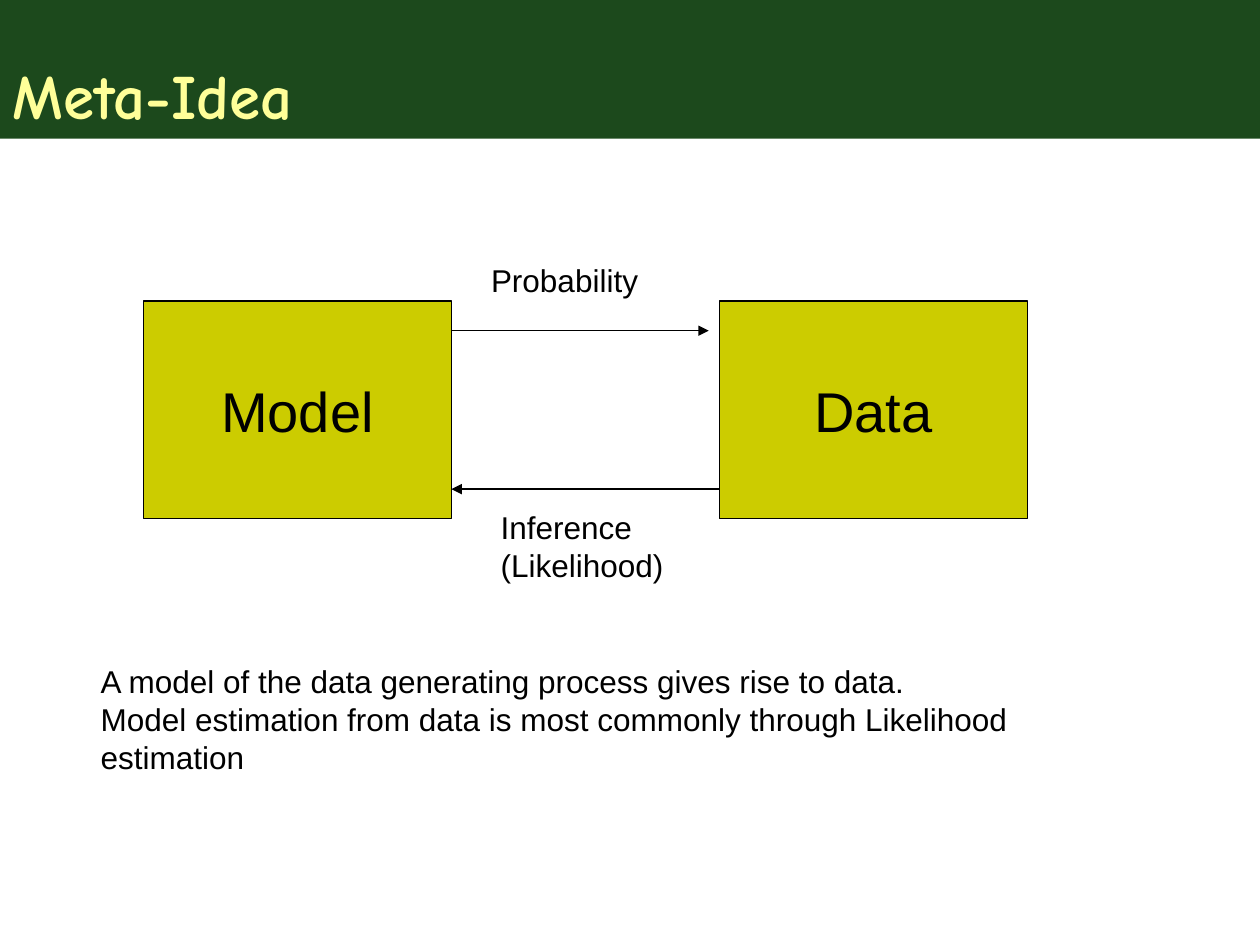
"""Build the Meta-Idea slide linking model and data."""
from lxml import etree
from pptx import Presentation
from pptx.dml.color import RGBColor
from pptx.enum.shapes import MSO_CONNECTOR, MSO_SHAPE
from pptx.enum.text import MSO_ANCHOR, MSO_AUTO_SIZE, PP_ALIGN
from pptx.oxml.ns import qn
from pptx.util import Pt

RECTANGLE = MSO_SHAPE.RECTANGLE
STRAIGHT = MSO_CONNECTOR.STRAIGHT
LEFT, CENTER = PP_ALIGN.LEFT, PP_ALIGN.CENTER
TOP, MIDDLE, BOTTOM = MSO_ANCHOR.TOP, MSO_ANCHOR.MIDDLE, MSO_ANCHOR.BOTTOM
NO_FIT, GROW = MSO_AUTO_SIZE.NONE, MSO_AUTO_SIZE.SHAPE_TO_FIT_TEXT

BLACK = RGBColor(0x00, 0x00, 0x00)
GREEN = RGBColor(0x00, 0x33, 0x00)
OLIVE = RGBColor(0xCC, 0xCC, 0x00)
CREAM = RGBColor(0xFF, 0xFF, 0x99)


def write(frame, text, font="Arial", size=18, color=BLACK, bold=False,
          align=LEFT, anchor=TOP, wrap=False, fit=NO_FIT):
    frame.text = text
    frame.word_wrap = wrap
    frame.auto_size = fit
    frame.vertical_anchor = anchor
    for paragraph in frame.paragraphs:
        paragraph.alignment = align
        paragraph.font.name = font
        paragraph.font.size = Pt(size)
        paragraph.font.bold = bold
        paragraph.font.color.rgb = color


class Diagram:
    """Holds the line style and the slide being drawn."""

    def __init__(self, slide, line_width=0.75):
        self.slide = slide
        self.line_width = Pt(line_width)

    def title(self, text, width, height):
        banner = self.slide.shapes.title
        banner.left, banner.top = Pt(0), Pt(0)
        banner.width, banner.height = Pt(width), Pt(height)
        banner.fill.solid()
        banner.fill.fore_color.rgb = GREEN
        color = banner.fill._xPr.find(qn("a:solidFill"))[0]
        etree.SubElement(color, qn("a:alpha"), val="89000")
        write(banner.text_frame, text, font="Comic Neue", size=36,
              color=CREAM, bold=True, anchor=BOTTOM, wrap=True)

    def box(self, text, left, top, width, height):
        box = self.slide.shapes.add_shape(
            RECTANGLE, Pt(left), Pt(top), Pt(width), Pt(height))
        box.shadow.inherit = False
        box.fill.solid()
        box.fill.fore_color.rgb = OLIVE
        box.line.color.rgb = BLACK
        box.line.width = self.line_width
        write(box.text_frame, text, size=32, align=CENTER, anchor=MIDDLE)

    def arrow(self, start, end, y):
        arrow = self.slide.shapes.add_connector(
            STRAIGHT, Pt(start), Pt(y), Pt(end), Pt(y))
        arrow.line.color.rgb = BLACK
        arrow.line.width = self.line_width
        etree.SubElement(arrow.line._get_or_add_ln(), qn("a:tailEnd"), type="triangle")
        etree.SubElement(arrow._element.spPr, qn("a:effectLst"))

    def label(self, text, left, top, width, height):
        label = self.slide.shapes.add_textbox(
            Pt(left), Pt(top), Pt(width), Pt(height))
        write(label.text_frame, text, fit=GROW)


def main():
    deck = Presentation()
    deck.slide_width, deck.slide_height = Pt(720), Pt(540)
    diagram = Diagram(deck.slides.add_slide(deck.slide_layouts[5]))
    diagram.title("Meta-Idea", 720, 79.2)

    model_left, data_left, box_top = 82, 411, 172
    box_width, box_height = 176, 124.5
    model_right = model_left + box_width
    inset = 17
    for name, left in (("Model", model_left), ("Data", data_left)):
        diagram.box(name, left, box_top, box_width, box_height)
    diagram.arrow(model_right, data_left - 6, box_top + inset)
    diagram.arrow(data_left, model_right, box_top + box_height - inset)

    diagram.label("Probability", 273.5, 145.5, 98.5, 29)
    diagram.label("Inference\n(Likelihood)", 279, 287, 107.5, 50.5)
    diagram.label(
        "A model of the data generating process gives rise to data.\n"
        "Model estimation from data is most commonly through Likelihood estimation",
        50.4, 375, 619, 50.5)
    deck.save("out.pptx")


if __name__ == "__main__":
    main()
